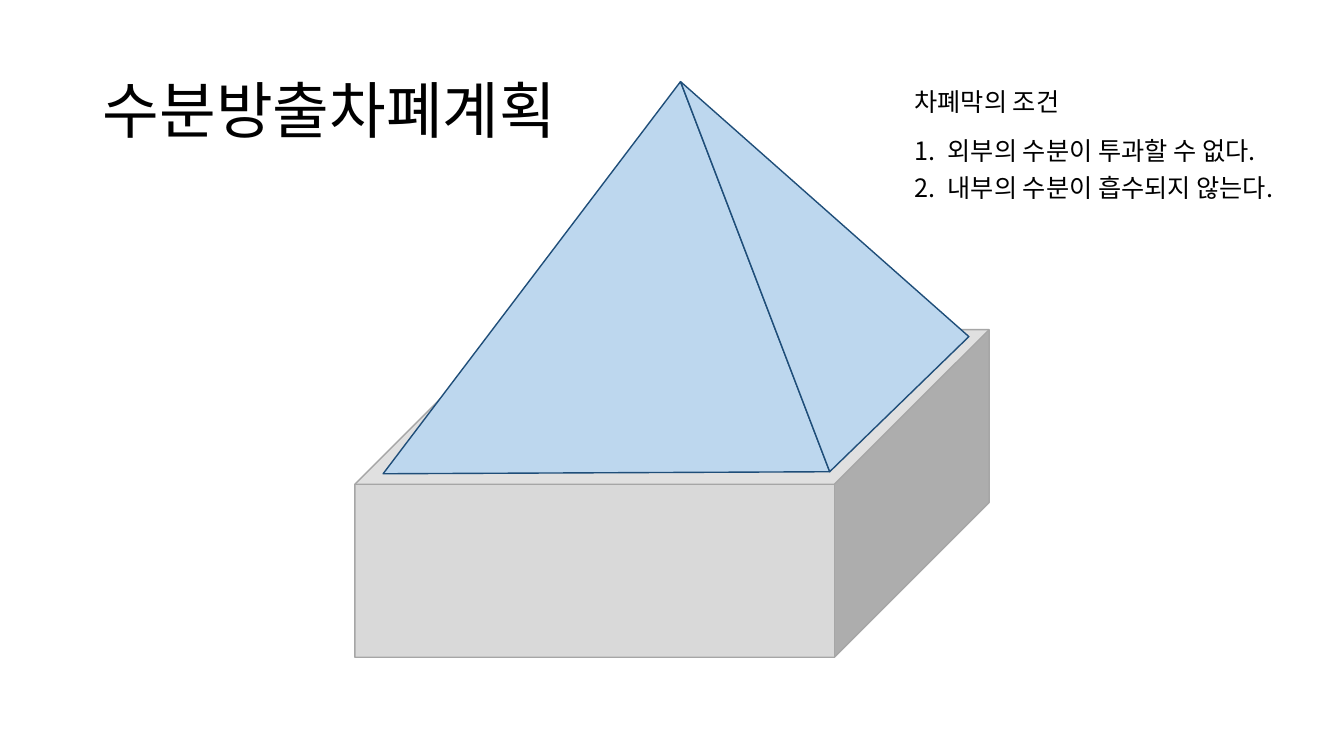
from lxml import etree
from pptx import Presentation
from pptx.dml.color import RGBColor
from pptx.enum.shapes import MSO_SHAPE
from pptx.enum.text import MSO_ANCHOR, MSO_AUTO_SIZE, PP_ALIGN
from pptx.oxml.ns import qn
from pptx.util import Inches, Pt

CUBE = MSO_SHAPE.CUBE
LEFT = PP_ALIGN.LEFT
TOP, MIDDLE = MSO_ANCHOR.TOP, MSO_ANCHOR.MIDDLE
NO_FIT = MSO_AUTO_SIZE.NONE

FONT = "Noto Sans CJK KR"
COLORS = {
    "text": "000000",
    "block": "D9D9D9",
    "block_edge": "A6A6A6",
    "barrier": "BDD7EE",
    "barrier_edge": "1F4E79",
}


def color(name):
    """Return the named colour."""
    return RGBColor.from_string(COLORS[name])


def place(shape, box):
    """Move a shape to a box of left, top, width and height in inches."""
    shape.left, shape.top, shape.width, shape.height = map(Inches, box)


def style_shape(shape, fill, edge):
    """Give a shape a plain fill and a thin outline."""
    shape.shadow.inherit = False
    shape.fill.solid()
    shape.fill.fore_color.rgb = color(fill)
    shape.line.color.rgb = color(edge)
    shape.line.width = Pt(1)


def style_paragraph(paragraph, size, line_spacing, space_before=0):
    """Set Latin and Korean fonts, size and spacing of a paragraph."""
    paragraph.alignment = LEFT
    paragraph.line_spacing = line_spacing
    paragraph.space_before = Pt(space_before)
    paragraph.font.name = FONT
    paragraph.font.size = Pt(size)
    paragraph.font.color.rgb = color("text")
    defaults = paragraph._p.pPr.find(qn("a:defRPr"))
    latin = defaults.find(qn("a:latin"))
    latin.addnext(defaults.makeelement(qn("a:ea"), {"typeface": FONT}))


def set_bullet(paragraph, tag, indent, **attributes):
    """Set the bullet kind and hanging indent, in inches, of a paragraph."""
    properties = paragraph._p.get_or_add_pPr()
    properties.set("marL", str(Inches(indent)))
    properties.set("indent", str(-Inches(indent)))
    bullet = etree.Element(qn(tag), attributes)
    properties.find(qn("a:defRPr")).addprevious(bullet)


def add_heading(slide, box):
    """Fill the title placeholder."""
    title = slide.shapes.title
    place(title, box)
    title.text_frame.text = "수분방출차폐계획"
    title.text_frame.vertical_anchor = MIDDLE
    title.text_frame.auto_size = NO_FIT
    style_paragraph(title.text_frame.paragraphs[0], 44, 0.9)


def add_conditions(slide, box):
    """Fill the body placeholder with the numbered barrier conditions."""
    body = slide.placeholders[1]
    place(body, box)
    frame = body.text_frame
    frame.vertical_anchor = TOP
    frame.auto_size = NO_FIT
    frame.text = "차폐막의 조건\n외부의 수분이 투과할 수 없다.\n내부의 수분이 흡수되지 않는다."
    heading, *conditions = frame.paragraphs
    style_paragraph(heading, 18, 1.0)
    set_bullet(heading, "a:buNone", 0)
    for condition, gap in zip(conditions, (13, 5)):
        style_paragraph(condition, 18, 1.0, gap)
        set_bullet(condition, "a:buAutoNum", 0.33, type="arabicPeriod")


def add_block(slide, box):
    """Draw the block that carries the barrier."""
    block = slide.shapes.add_shape(CUBE, *map(Inches, box))
    block.adjustments[0] = 0.472
    style_shape(block, "block", "block_edge")


def add_barrier(slide, box):
    """Draw the two visible faces of the pyramid barrier."""
    left, top, width, height = box
    apex = (left + 2.95, top)
    front_left = (left, top + height)
    front_right = (left + 4.43, top + height - 0.02)
    back_right = (left + width, top + 2.53)
    for outer_corners in ((front_left, front_right), (front_right, back_right)):
        outline = [tuple(map(Inches, point)) for point in (apex, *outer_corners)]
        builder = slide.shapes.build_freeform(*outline[0])
        builder.add_line_segments(outline[1:], close=True)
        style_shape(builder.convert_to_shape(), "barrier", "barrier_edge")


def main():
    """Build and save the slide."""
    deck = Presentation()
    deck.slide_width, deck.slide_height = Inches(13.33), Inches(7.5)
    slide = deck.slides.add_slide(deck.slide_layouts[1])
    add_heading(slide, (0.92, 0.4, 11.5, 1.45))
    add_block(slide, (3.52, 3.27, 6.29, 3.25))
    add_barrier(slide, (3.8, 0.81, 5.81, 3.89))
    add_conditions(slide, (8.97, 0.81, 4.15, 1.4))
    deck.save("out.pptx")


if __name__ == "__main__":
    main()
